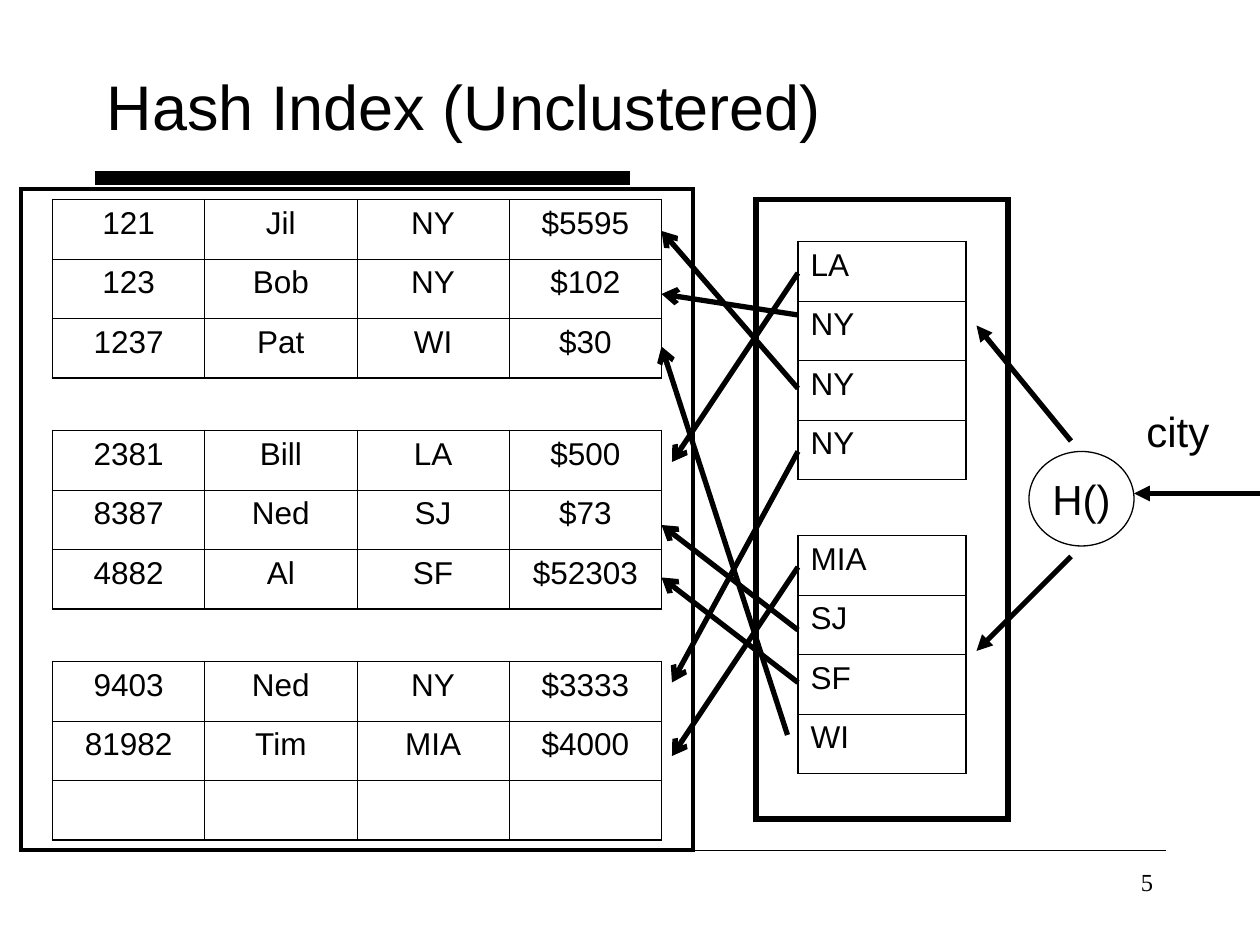
"""Draw a slide on an unclustered hash index with its pages, buckets and pointers."""
from dataclasses import dataclass
from typing import Any

from pptx import Presentation
from pptx import util as u
from pptx.dml import color
from pptx.enum import shapes, text
from pptx.oxml import ns
from lxml import etree

BLACK = color.RGBColor(0, 0, 0)
WHITE = color.RGBColor(255, 255, 255)
ROW = 34
THIN, EDGE = 0.45, 1.08
LEFT, MID, RIGHT = text.PP_ALIGN.LEFT, text.PP_ALIGN.CENTER, text.PP_ALIGN.RIGHT
TOP, CENTRE = text.MSO_ANCHOR.TOP, text.MSO_ANCHOR.MIDDLE


@dataclass(frozen=True)
class Grid:
    left: float
    top: float
    col: float
    rows: tuple[tuple[str, ...], ...]
    align: Any


@dataclass(frozen=True)
class Line:
    x1: float
    y1: float
    x2: float
    y2: float
    width: float = 3
    head: str = ""
    tail: str = ""


@dataclass(frozen=True)
class Label:
    left: float
    top: float
    width: float
    height: float
    words: str
    size: float
    font: str = "Arial"
    align: Any = LEFT
    anchor: Any = TOP
    wrap: bool = True


@dataclass(frozen=True)
class Box:
    left: float
    top: float
    width: float
    height: float
    line: float


PAGES = (
    (("121", "Jil", "NY", "$5595"), ("123", "Bob", "NY", "$102"), ("1237", "Pat", "WI", "$30")),
    (("2381", "Bill", "LA", "$500"), ("8387", "Ned", "SJ", "$73"), ("4882", "Al", "SF", "$52303")),
    (("9403", "Ned", "NY", "$3333"), ("81982", "Tim", "MIA", "$4000"), ("", "", "", "")),
)
BUCKETS = (("LA", "NY", "NY", "NY"), ("MIA", "SJ", "SF", "WI"))
GRIDS = [Grid(30, 114 + 132 * i, 87, page, MID) for i, page in enumerate(PAGES)] + [
    Grid(456, 138 + 168 * i, 96, tuple((key,) for key in keys), LEFT)
    for i, keys in enumerate(BUCKETS)
]
RULES = (Line(54, 102, 360, 102, 8), Line(54, 486, 666, 486, 1))
HASHES = (
    Line(648, 282, 720, 282, head="triangle"),
    Line(558, 186, 612, 252, head="triangle"),
    Line(558, 372, 612, 318, head="triangle"),
)
LINKS = [
    Line(*ends, tail="arrow")
    for ends in (
        (456, 156, 384, 264),
        (456, 180, 378, 168),
        (456, 222, 378, 132),
        (456, 258, 384, 390),
        (456, 324, 384, 432),
        (456, 360, 378, 300),
        (456, 390, 378, 330),
        (450, 420, 378, 198),
    )
]
FRAMES = (Box(12, 108, 384, 378, 2.25), Box(432, 114, 144, 354, 3))
HASH = Box(588, 258, 60, 54, 0.75)
LABELS = (
    Label(54, 24, 612, 72, "Hash Index (Unclustered)", 36, anchor=CENTRE),
    Label(648, 228, 52, 36, "city", 24, wrap=False),
    Label(516, 492, 150, 36, "5", 14, "Times New Roman", RIGHT),
)


def add_run(frame: Any, words: str, size: float, font: str, align: Any) -> None:
    para = frame.paragraphs[0]
    para.alignment = align
    run = para.add_run()
    run.text = words
    run.font.size = u.Pt(size)
    run.font.name = font
    run.font.color.rgb = BLACK


def add_edge(props: Any, index: int, side: str, width: float) -> None:
    edge = etree.Element(ns.qn(f"a:ln{side}"), w=str(int(u.Pt(width))))
    fill = etree.SubElement(edge, ns.qn("a:solidFill"))
    etree.SubElement(fill, ns.qn("a:srgbClr"), val=str(BLACK))
    props.insert(index, edge)


def draw_grid(slide: Any, grid: Grid) -> None:
    rows, cols = len(grid.rows), len(grid.rows[0])
    table = slide.shapes.add_table(
        rows, cols, u.Pt(grid.left), u.Pt(grid.top), u.Pt(grid.col * cols), u.Pt(ROW * rows)
    ).table
    table.first_row = table.horz_banding = False
    for r, row in enumerate(grid.rows):
        table.rows[r].height = u.Pt(ROW)
        for c, words in enumerate(row):
            cell = table.cell(r, c)
            cell.fill.background()
            if words:
                add_run(cell.text_frame, words, 18, "Arial", grid.align)
            outer = {"L": c == 0, "R": c == cols - 1, "T": r == 0, "B": r == rows - 1}
            props = cell._tc.get_or_add_tcPr()
            for i, (side, rim) in enumerate(outer.items()):
                add_edge(props, i, side, EDGE if rim else THIN)


def draw_line(slide: Any, line: Line) -> None:
    link = slide.shapes.add_connector(
        shapes.MSO_CONNECTOR.STRAIGHT,
        u.Pt(line.x1), u.Pt(line.y1), u.Pt(line.x2), u.Pt(line.y2),
    )
    link.line.color.rgb = BLACK
    link.line.width = u.Pt(line.width)
    props = link._element.spPr
    stroke = props.find(ns.qn("a:ln"))
    for end, kind in (("headEnd", line.head), ("tailEnd", line.tail)):
        if kind:
            etree.SubElement(stroke, ns.qn(f"a:{end}"), type=kind)
    etree.SubElement(props, ns.qn("a:effectLst"))


def draw_box(slide: Any, box: Box, kind: Any) -> Any:
    shape = slide.shapes.add_shape(
        kind, u.Pt(box.left), u.Pt(box.top), u.Pt(box.width), u.Pt(box.height)
    )
    shape.shadow.inherit = False
    shape.fill.background()
    shape.line.color.rgb = BLACK
    shape.line.width = u.Pt(box.line)
    stroke = shape._element.spPr.find(ns.qn("a:ln"))
    etree.SubElement(stroke, ns.qn("a:miter"), lim="800000")
    return shape


def draw_label(slide: Any, label: Label) -> None:
    frame = slide.shapes.add_textbox(
        u.Pt(label.left), u.Pt(label.top), u.Pt(label.width), u.Pt(label.height)
    ).text_frame
    frame.word_wrap = label.wrap
    if not label.wrap:
        frame.auto_size = text.MSO_AUTO_SIZE.SHAPE_TO_FIT_TEXT
    frame.vertical_anchor = label.anchor
    add_run(frame, label.words, label.size, label.font, label.align)


def main() -> None:
    deck = Presentation()
    deck.slide_width, deck.slide_height = u.Pt(720), u.Pt(540)
    slide = deck.slides.add_slide(deck.slide_layouts[6])
    for rule in RULES:
        draw_line(slide, rule)
    for grid in GRIDS:
        draw_grid(slide, grid)
    for frame in FRAMES:
        draw_box(slide, frame, shapes.MSO_SHAPE.RECTANGLE)
    hub = draw_box(slide, HASH, shapes.MSO_SHAPE.OVAL)
    hub.fill.solid()
    hub.fill.fore_color.rgb = WHITE
    hub.text_frame.word_wrap = False
    add_run(hub.text_frame, "H()", 24, "Arial", MID)
    for line in (*HASHES, *LINKS):
        draw_line(slide, line)
    for label in LABELS:
        draw_label(slide, label)
    deck.save("out.pptx")


if __name__ == "__main__":
    main()
